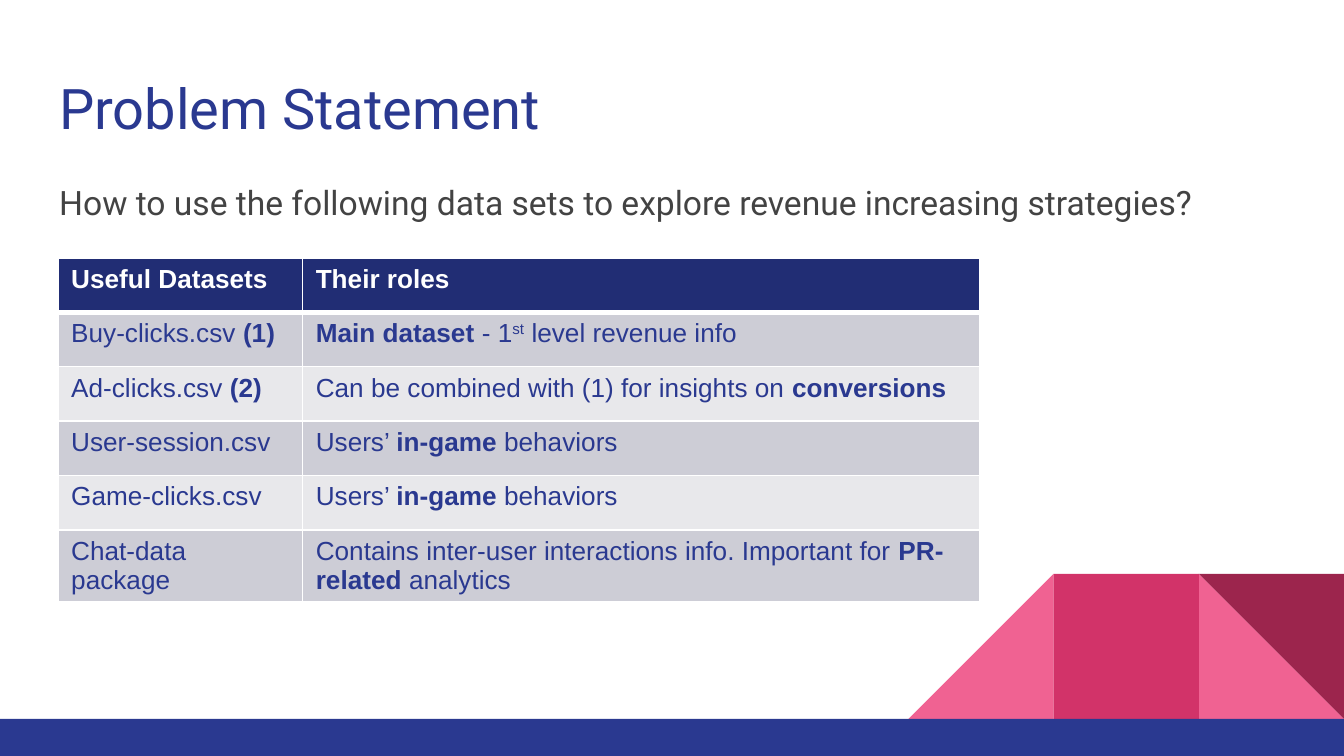
from lxml import etree
from pptx import Presentation
from pptx.dml.color import RGBColor
from pptx.enum.shapes import MSO_SHAPE
from pptx.enum.text import MSO_ANCHOR, MSO_AUTO_SIZE, PP_ALIGN
from pptx.oxml.ns import qn
from pptx.util import Inches, Pt

RECT, WEDGE = MSO_SHAPE.RECTANGLE, MSO_SHAPE.RIGHT_TRIANGLE
TOP, LEFT, FIXED = MSO_ANCHOR.TOP, PP_ALIGN.LEFT, MSO_AUTO_SIZE.NONE
WIDE = Inches(10)
HIGH = WIDE * 9 // 16
TILE = WIDE * 10.8 / 100
FLOOR = HIGH * 95.1 / 100
COLORS = {
    "white": "FFFFFF", "navy": "212D74", "blue": "2A3990", "gray": "434343",
    "pink": "F06292", "rose": "D23369", "wine": "9C254D",
    "odd": "CDCDD6", "even": "E8E8EB",
}
TITLE = {"name": "Roboto", "size": Pt(30), "bold": False}
BODY = {"name": "Roboto", "size": Pt(18), "bold": False}
CELL = {"name": "Arial", "size": Pt(14)}
TILES = [
    (1, WEDGE, "pink", 0, False), (3, WEDGE, "pink", 0, True),
    (2, RECT, "rose", 0, False), (1, WEDGE, "wine", 180, False),
]
COLS = (18.2, 50.4)
ROWS = [
    ("*Useful Datasets*", "*Their roles*"),
    ("Buy-clicks.csv *(1)*", "*Main dataset *- 1^st^ level revenue info"),
    ("Ad-clicks.csv *(2)*",
     "Can be combined with (1) for insights on *conversions*"),
    ("User-session.csv", "Users’ *in-game* behaviors"),
    ("Game-clicks.csv", "Users’ *in-game* behaviors"),
    ("Chat-data package",
     "Contains inter-user interactions info. Important for "
     "*PR-related *analytics"),
]


def rgb(name):
    """Return the named colour."""
    return RGBColor.from_string(COLORS[name])


def share(left, top, width, height):
    """Turn percentages of the slide into a box."""
    return [round(size * part / 100) for size, part in
            zip((WIDE, HIGH, WIDE, HIGH), (left, top, width, height))]


def style(item, values):
    """Set attributes from a dict of format values."""
    for key, value in values.items():
        setattr(item, key, value)


def block(slide, kind, box, color):
    """Add a plain filled shape."""
    shape = slide.shapes.add_shape(kind, *map(round, box))
    shape.shadow.inherit = False
    shape.fill.solid()
    shape.fill.fore_color.rgb = rgb(color)
    shape.line.fill.background()
    return shape


def decor(slide):
    """Add the tiles, counted from the right edge, and the floor bar."""
    for col, kind, color, turn, flip in TILES:
        box = (WIDE - col * TILE, FLOOR - TILE, TILE, TILE)
        shape = block(slide, kind, box, color)
        shape.rotation = turn
        if flip:
            shape.element.spPr.xfrm.set("flipH", "1")
    block(slide, RECT, (0, FLOOR, WIDE, HIGH - FLOOR), "blue")


def fill(holder, box, text, form, color, gaps):
    """Place a placeholder and write one unbulleted paragraph in it."""
    style(holder, dict(zip(("left", "top", "width", "height"), box)))
    frame = holder.text_frame
    pad = Inches(0.1)
    style(frame, {"auto_size": FIXED, "word_wrap": True,
                  "vertical_anchor": TOP, "margin_left": pad,
                  "margin_right": pad, "margin_top": pad,
                  "margin_bottom": pad})
    para = frame.paragraphs[0]
    run = para.add_run()
    run.text = text
    style(run.font, form)
    run.font.color.rgb = rgb(color)
    style(para, {"alignment": LEFT, "space_before": Pt(0), **gaps})
    props = para._p.get_or_add_pPr()
    props.set("marL", "0")
    props.set("indent", "0")
    etree.SubElement(props, qn("a:buNone"))


def write(para, text, color):
    """Write runs, with *bold* and ^raised^ parts."""
    for odd, part in enumerate(text.split("*")):
        for high, piece in enumerate(part.split("^")):
            if piece:
                run = para.add_run()
                run.text = piece
                style(run.font, {**CELL, "bold": odd % 2 == 1})
                run.font.color.rgb = rgb(color)
                if high % 2:
                    run._r.get_or_add_rPr().set("baseline", "30000")


def edge(cell, head):
    """Draw white borders, with a thick one below the header."""
    props = cell._tc.get_or_add_tcPr()
    for side in "LRTB":
        size = 3 if head and side == "B" else 1
        line = etree.SubElement(props, qn(f"a:ln{side}"), w=str(Pt(size)))
        solid = etree.SubElement(line, qn("a:solidFill"))
        etree.SubElement(solid, qn("a:srgbClr"), val=COLORS["white"])


def grid(slide):
    """Add the table of datasets."""
    box = share(4.3, 34.1, sum(COLS), 7.2 * len(ROWS))
    table = slide.shapes.add_table(len(ROWS), len(COLS), *box).table
    for col, width in zip(table.columns, COLS):
        col.width = round(WIDE * width / 100)
    for row, texts in enumerate(ROWS):
        head = row == 0
        back = "navy" if head else "odd" if row % 2 else "even"
        for col, text in enumerate(texts):
            cell = table.cell(row, col)
            edge(cell, head)
            cell.fill.solid()
            cell.fill.fore_color.rgb = rgb(back)
            write(cell.text_frame.paragraphs[0], text,
                  "white" if head else "blue")


def main():
    """Build and save the slide."""
    deck = Presentation()
    style(deck, {"slide_width": WIDE, "slide_height": HIGH})
    slide = deck.slides.add_slide(deck.slide_layouts[1])
    decor(slide)
    fill(slide.shapes.title, share(3.4, 8, 93.2, 11.7),
         "Problem Statement", TITLE, "blue", {})
    fill(slide.placeholders[1], share(3.4, 21.5, 93.2, 64.9),
         "How to use the following data sets to explore revenue "
         "increasing strategies?", BODY, "gray",
         {"line_spacing": 1.15, "space_after": Pt(16)})
    grid(slide)
    deck.save("out.pptx")


if __name__ == "__main__":
    main()
